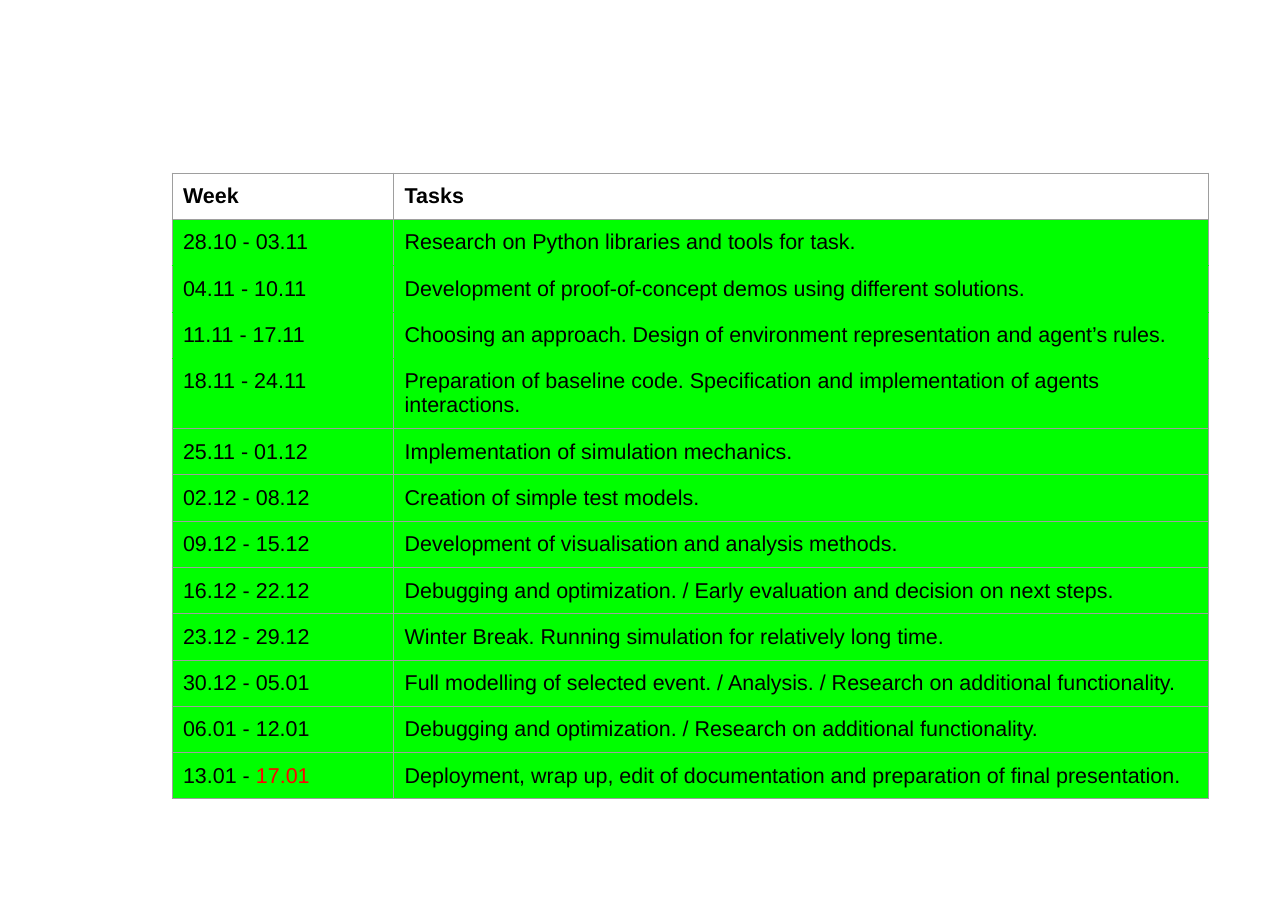
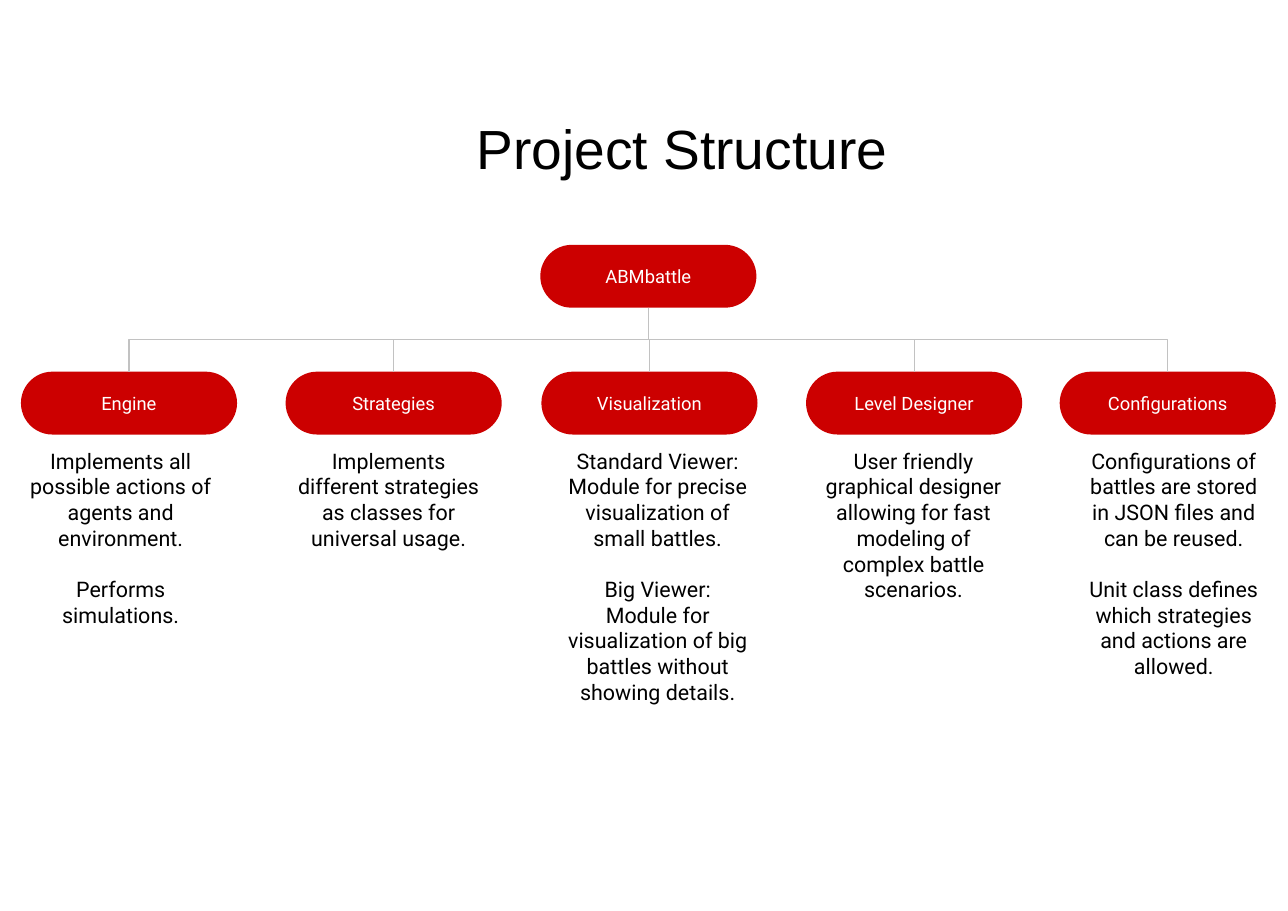
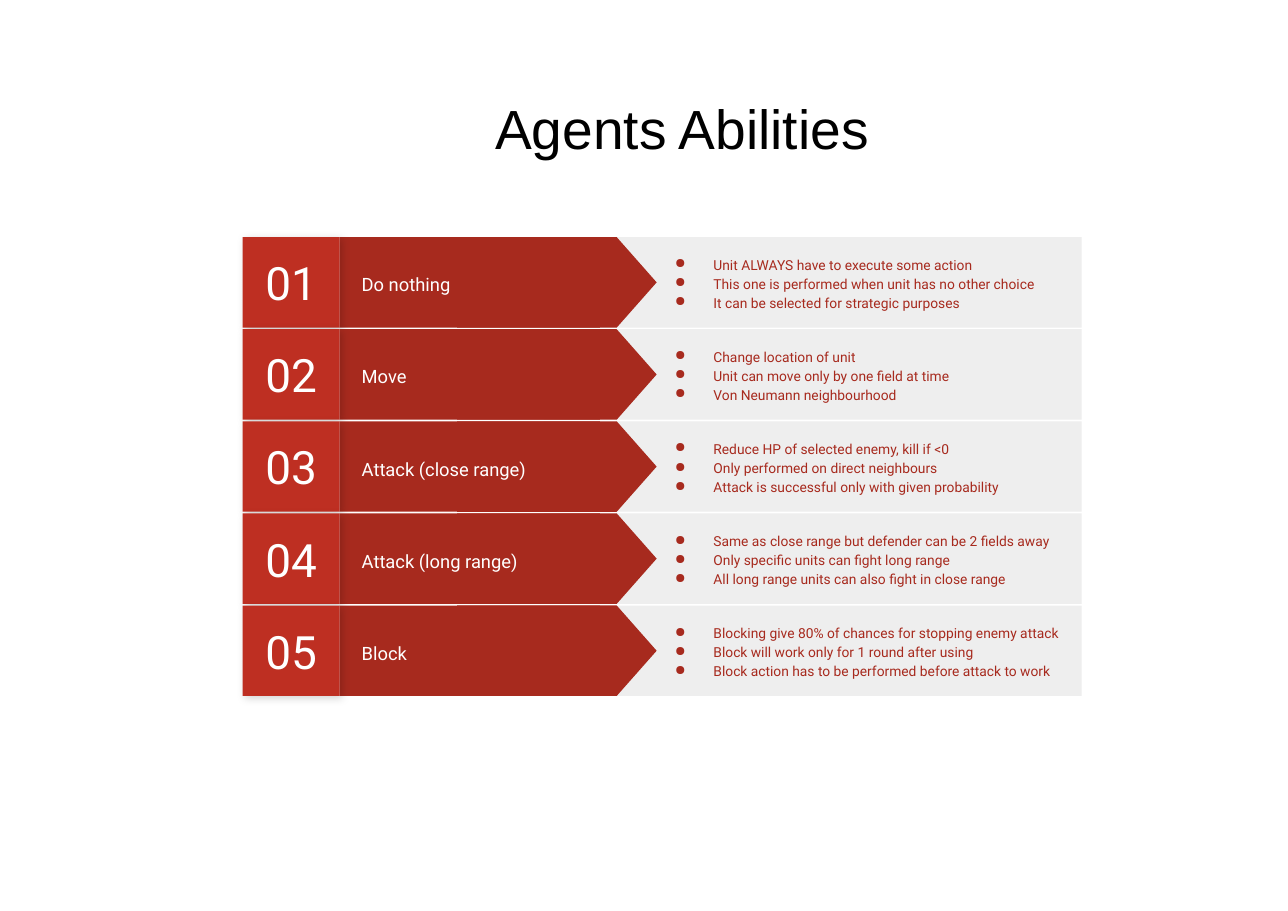
from lxml import etree
from pptx import Presentation
from pptx import util as u
from pptx.dml.color import RGBColor
from pptx.enum import shapes, text
from pptx.oxml import parse_xml
from pptx.oxml.ns import nsdecls, qn

COLORS = {
    "black": "000000", "white": "FFFFFF", "done": "00FF00", "deadline": "FF0000",
    "grid": "9E9E9E", "node": "CC0000", "link": "C2C2C2",
    "band": "EEEEEE", "arrow": "A72A1E", "number": "BE2F22",
}
WIDTH, HEIGHT = 11.68, 8.26
INSET, WIDE_INSET = 0.1, 0.12
LEFT, CENTER = text.PP_ALIGN.LEFT, text.PP_ALIGN.CENTER
TOP, MIDDLE = text.MSO_ANCHOR.TOP, text.MSO_ANCHOR.MIDDLE
SHAPE = shapes.MSO_SHAPE


def write(shape, lines, size, color="black", font="Roboto", align=CENTER,
          anchor=MIDDLE, inset=WIDE_INSET, spacing=None, bullet=None):
    """Fill the shape's text frame with one paragraph per line, all in one font."""
    frame = shape.text_frame
    frame.word_wrap = True
    frame.auto_size = text.MSO_AUTO_SIZE.NONE
    frame.vertical_anchor = anchor
    frame.margin_left = frame.margin_right = u.Inches(inset)
    frame.margin_top = frame.margin_bottom = u.Inches(inset)
    frame.text = "\n".join(lines)
    for paragraph in frame.paragraphs:
        if bullet:
            properties = paragraph._p.get_or_add_pPr()
            properties.set("marL", str(u.Inches(0.58)))
            properties.set("indent", str(u.Inches(-0.35)))
            tint = etree.SubElement(properties, qn("a:buClr"))
            etree.SubElement(tint, qn("a:srgbClr")).set("val", COLORS[color])
            etree.SubElement(properties, qn("a:buChar")).set("char", bullet)
        paragraph.alignment = align
        if spacing:
            paragraph.line_spacing = spacing
        paragraph.font.name = font
        paragraph.font.size = u.Pt(size)
        paragraph.font.color.rgb = RGBColor.from_string(COLORS[color])
    return frame.paragraphs


def add_block(parent, kind, left, top, width, height, color):
    """Add a flat preset shape without outline or shadow."""
    shape = parent.add_shape(kind, *map(u.Inches, (left, top, width, height)))
    shape.shadow.inherit = False
    shape.fill.solid()
    shape.fill.fore_color.rgb = RGBColor.from_string(COLORS[color])
    shape.line.fill.background()
    return shape


presentation = Presentation()
presentation.slide_width, presentation.slide_height = u.Inches(WIDTH), u.Inches(HEIGHT)
title_layout, blank_layout = presentation.slide_layouts[5], presentation.slide_layouts[6]

schedule_slide = presentation.slides.add_slide(blank_layout)
titled_slides = []
for heading, title_height in (("Project Structure", 1.27), ("Agents Abilities", 0.92)):
    slide = presentation.slides.add_slide(title_layout)
    title = slide.shapes.title
    title.left, title.top = u.Inches(1.15), u.Inches(0.7)
    title.width, title.height = u.Inches(10.07), u.Inches(title_height)
    write(title, [heading], 36, font="Arial", inset=INSET)
    titled_slides.append(slide)
structure_slide, abilities_slide = titled_slides

# Schedule table
schedule = [
    ("Week", "Tasks"),
    ("28.10 - 03.11", "Research on Python libraries and tools for task."),
    ("04.11 - 10.11", "Development of proof-of-concept demos using different solutions."),
    ("11.11 - 17.11", "Choosing an approach. Design of environment representation and agent’s rules."),
    ("18.11 - 24.11", "Preparation of baseline code. Specification and implementation of agents interactions."),
    ("25.11 - 01.12", "Implementation of simulation mechanics."),
    ("02.12 - 08.12", "Creation of simple test models."),
    ("09.12 - 15.12", "Development of visualisation and analysis methods."),
    ("16.12 - 22.12", "Debugging and optimization. / Early evaluation and decision on next steps."),
    ("23.12 - 29.12", "Winter Break. Running simulation for relatively long time."),
    ("30.12 - 05.01", "Full modelling of selected event. / Analysis. / Research on additional functionality."),
    ("06.01 - 12.01", "Debugging and optimization. / Research on additional functionality."),
    ("13.01 - ", "Deployment, wrap up, edit of documentation and preparation of final presentation."),
]
column_widths, row_height = (2.01, 7.39), 0.42
table = schedule_slide.shapes.add_table(
    len(schedule), len(column_widths), u.Inches(1.56), u.Inches(1.57),
    u.Inches(sum(column_widths)), u.Inches(row_height * len(schedule))).table
table.first_row = table.horz_banding = False
for column, width in zip(table.columns, column_widths):
    column.width = u.Inches(width)
for row_index, entries in enumerate(schedule):
    table.rows[row_index].height = u.Inches(row_height)
    for column_index, entry in enumerate(entries):
        cell = table.cell(row_index, column_index)
        cell.margin_left = cell.margin_right = u.Inches(INSET)
        cell.margin_top = cell.margin_bottom = u.Inches(INSET)
        cell.text = entry
        font = cell.text_frame.paragraphs[0].font
        font.name, font.size, font.bold = "Arial", u.Pt(14), row_index == 0
        font.color.rgb = RGBColor.from_string(COLORS["black"])
        # The first four weeks run together without lines between them
        merged_edges = {"T": row_index in (2, 3, 4), "B": row_index in (1, 2, 3)}
        for edge in "LRTB":
            edge_color = COLORS["done" if merged_edges.get(edge) else "grid"]
            cell._tc.get_or_add_tcPr().append(parse_xml(
                f'<a:ln{edge} {nsdecls("a")} w="{u.Pt(0.75)}"><a:solidFill>'
                f'<a:srgbClr val="{edge_color}"/></a:solidFill></a:ln{edge}>'))
        if row_index == 0:
            cell.fill.background()
        else:
            cell.fill.solid()
            cell.fill.fore_color.rgb = RGBColor.from_string(COLORS["done"])
deadline = table.cell(len(schedule) - 1, 0).text_frame.paragraphs[0].add_run()
deadline.text = "17.01"
deadline.font.color.rgb = RGBColor.from_string(COLORS["deadline"])

# Project structure: node left, text left, name, blocks of lines
modules = [
    (0.19, 0.16, "Engine", [
        ["Implements all possible actions of agents and environment."],
        ["Performs simulations."]]),
    (2.59, 2.59, "Strategies", [
        ["Implements different strategies as classes for universal usage."]]),
    (4.91, 5.03, "Visualization", [
        ["Standard Viewer:", "Module for precise visualization of small battles."],
        ["Big Viewer:", "Module for visualization of big battles without showing details."]]),
    (7.31, 7.35, "Level Designer", [
        ["User friendly graphical designer allowing for fast modeling of complex battle scenarios."]]),
    (9.61, 9.71, "Configurations", [
        ["Configurations of battles are stored in JSON files and can be reused."],
        ["Unit class defines which strategies and actions are allowed."]]),
]
node_width, node_height = 1.96, 0.57
root_left, root_top, module_top = 4.9, 2.22, 3.37
link_drop = module_top - root_top - node_height
link_middle = module_top - link_drop / 2
nodes = [(root_left, root_top, "ABMbattle")]
nodes += [(left, module_top, name) for left, _, name, _ in modules]
for left, top, name in nodes:
    node = add_block(structure_slide.shapes, SHAPE.ROUNDED_RECTANGLE,
                     left, top, node_width, node_height, "node")
    node.adjustments[0] = 0.5
    write(node, [name], 12, "white")

for left, text_left, name, blocks in modules:
    # An elbow starts sideways, so it is laid out flat and turned a quarter
    offset = left - root_left
    link_center = root_left + (node_width + offset) / 2
    link = structure_slide.shapes.add_connector(
        shapes.MSO_CONNECTOR.ELBOW,
        u.Inches(link_center - link_drop / 2), u.Inches(link_middle + offset / 2),
        u.Inches(link_center + link_drop / 2), u.Inches(link_middle - offset / 2))
    link._element.spPr.find(qn("a:xfrm")).set("rot", str(90 * 60000))
    link.line.width = u.Pt(0.75)
    link.line.color.rgb = RGBColor.from_string(COLORS["link"])
    etree.SubElement(link._element.spPr, qn("a:effectLst"))

    description = structure_slide.shapes.add_textbox(
        *map(u.Inches, (text_left, 3.96, 1.87, 3.06)))
    paragraphs = write(description, sum(blocks, []), 14, anchor=TOP, inset=INSET)
    if len(blocks) > 1:
        paragraphs[len(blocks[0])].space_before = u.Pt(16.4)

# Agents' abilities
abilities = [
    ("Do nothing", ["Unit ALWAYS have to execute some action",
                    "This one is performed when unit has no other choice",
                    "It can be selected for strategic purposes"]),
    ("Move", ["Change location of unit",
              "Unit can move only by one field at time",
              "Von Neumann neighbourhood"]),
    ("Attack (close range)", ["Reduce HP of selected enemy, kill if <0",
                              "Only performed on direct neighbours",
                              "Attack is successful only with given probability"]),
    ("Attack (long range)", ["Same as close range but defender can be 2 fields away",
                             "Only specific units can fight long range",
                             "All long range units can also fight in close range"]),
    ("Block", ["Blocking give 80% of chances for stopping enemy attack",
               "Block will work only for 1 round after using",
               "Block action has to be performed before attack to work"]),
]
band_top, band_pitch, band_height = 2.15, 0.835, 0.82
number_left, number_width = 2.2, 0.88
label_left = number_left + number_width
tip_center, tip_length = 5.05, 1.81
for index, (ability, details) in enumerate(abilities):
    top = band_top + index * band_pitch
    group = abilities_slide.shapes.add_group_shape().shapes
    add_block(group, SHAPE.RECTANGLE, 4.93, top, 4.88, band_height, "band")
    add_block(group, SHAPE.RECTANGLE, label_left, top, 2.36, band_height, "arrow")
    tip = add_block(group, SHAPE.FLOWCHART_OFFPAGE_CONNECTOR, tip_center - band_height / 2,
                    top + (band_height - tip_length) / 2, band_height, tip_length, "arrow")
    tip.rotation = 270

    label = group.add_textbox(*map(u.Inches, (label_left + 0.08, top + 0.1, 2.48, 0.63)))
    write(label, [ability], 12, "white", align=LEFT, spacing=1.15)

    number = add_block(group, SHAPE.RECTANGLE, number_left, top,
                       number_width, band_height, "number")
    write(number, [f"{index + 1:02}"], 30, "white")
    number._element.spPr.find(qn("a:effectLst")).append(parse_xml(
        f'<a:outerShdw {nsdecls("a")} blurRad="{u.Pt(5.6)}" dist="{u.Pt(2.2)}" '
        f'dir="{45 * 60000}" algn="tl" rotWithShape="0"><a:srgbClr val="{COLORS["black"]}">'
        '<a:alpha val="17000"/></a:srgbClr></a:outerShdw>'))

    detail_box = group.add_textbox(*map(u.Inches, (5.77, top, 4.04, band_height)))
    write(detail_box, details, 9, "arrow", align=LEFT, spacing=1.15, bullet="●")

presentation.save("out.pptx")
